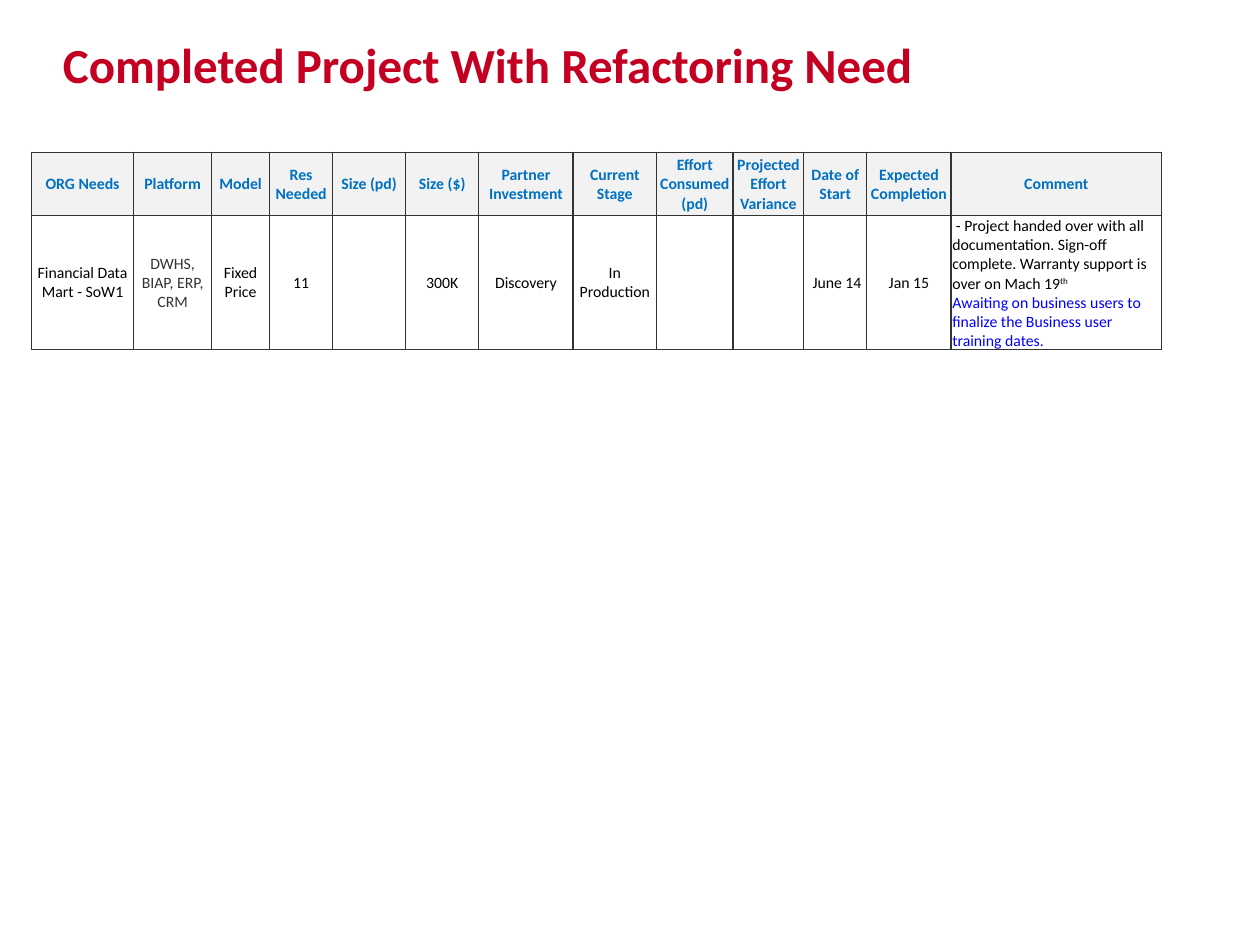
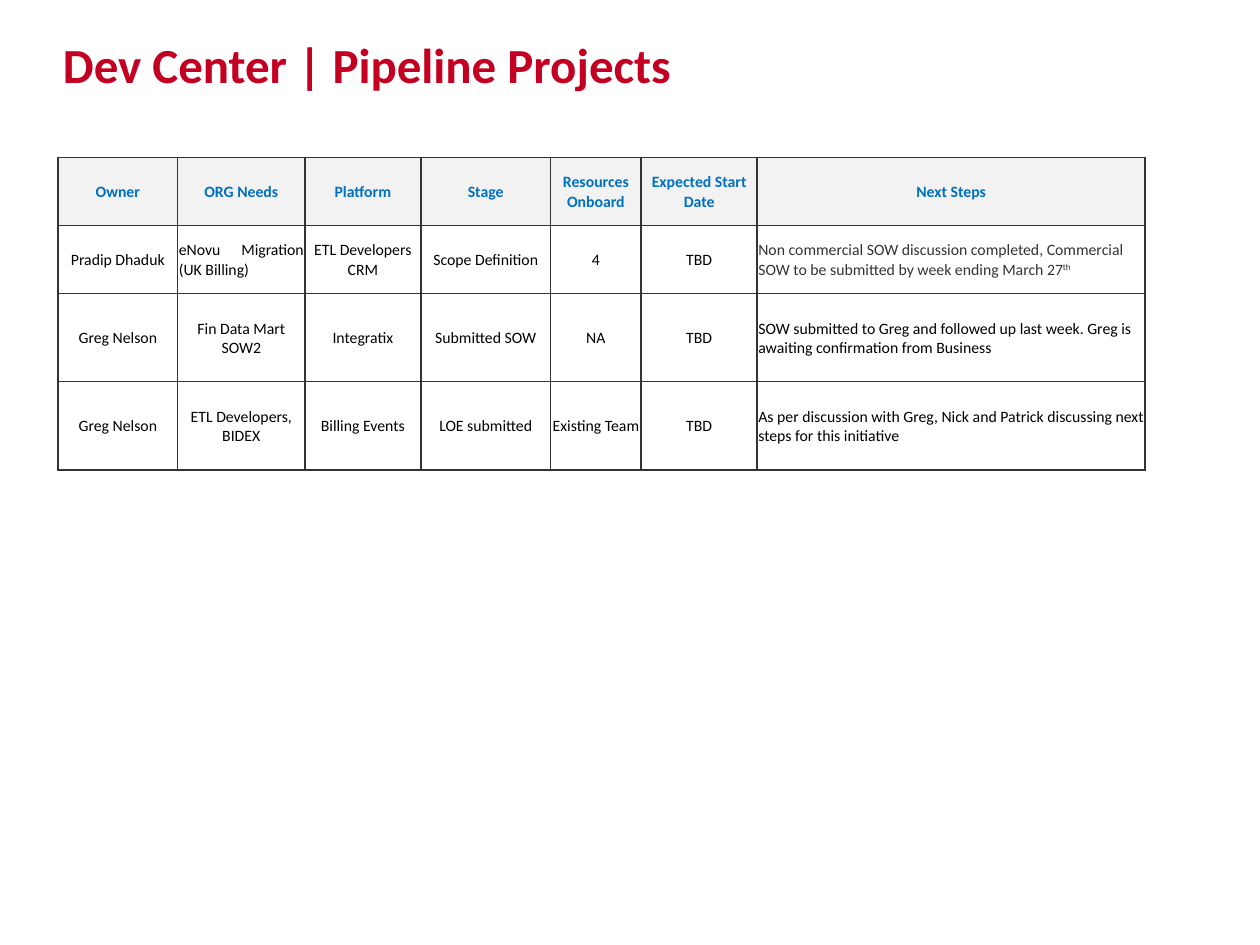
from lxml.etree import SubElement
from pptx import Presentation
from pptx.dml.color import RGBColor
from pptx.enum.text import MSO_ANCHOR as Anchor, PP_ALIGN as Align
from pptx.oxml.ns import qn
from pptx.util import Inches, Pt

FONT = "Calibri"
RED, BLUE, LINK = "C40022", "0070C0", "0000FF"
BLACK, GREY, PALE, WHITE = "000000", "333333", "F2F2F2", "FFFFFF"
TITLE_BOX = (0.5, 0.25, 9, 0.5)

COMPLETED = {
    "title": "Completed Project With Refactoring Need",
    "corner": (0.25, 1.21),
    "columns": [0.81, 0.62, 0.46, 0.5, 0.58, 0.58, 0.75, 0.66, 0.61, 0.56, 0.5, 0.67, 1.67],
    "heights": [0.5, 0.82],
    "rows": [
        ["ORG Needs", "Platform", "Model", "Res Needed", "Size (pd)", "Size ($)",
         "Partner Investment", "Current Stage", "Effort Consumed\v(pd)",
         "Projected Effort Variance", "Date of Start", "Expected Completion", "Comment"],
        ["Financial Data Mart - SoW1", "DWHS, BIAP, ERP, CRM", "Fixed Price", "11", "",
         "300K", "Discovery", "In Production", "", "", " June 14", "Jan 15",
         " - Project handed over with all documentation. Sign-off complete. "
         "Warranty support is over on Mach 19^th\n"
         "Awaiting on business users to finalize the Business user training dates."],
    ],
    "colors": {(1, 1): [GREY], (1, 12): [BLACK, LINK]},
    "aligns": {},
}

PIPELINE = {
    "title": "Dev Center | Pipeline Projects",
    "corner": (0.46, 1.25),
    "columns": [0.95, 1.01, 0.92, 1.03, 0.72, 0.92, 3.08],
    "heights": [0.54, 0.54, 0.7, 0.7],
    "rows": [
        ["Owner", "ORG Needs", "Platform", "Stage", "Resources Onboard",
         "Expected Start Date", "Next Steps"],
        ["Pradip Dhaduk", "eNovu Migration (UK Billing)", "ETL Developers\nCRM",
         "Scope Definition", "4", "TBD",
         "Non commercial SOW discussion completed, Commercial SOW to be submitted "
         "by week ending March 27^th"],
        ["Greg Nelson", "Fin Data Mart SOW2", "Integratix", "Submitted SOW", "NA", "TBD",
         "SOW submitted to Greg and followed up last week. Greg is awaiting "
         "confirmation from Business"],
        ["Greg Nelson", "ETL Developers, BIDEX", "Billing Events", "LOE submitted",
         "Existing Team", "TBD",
         "As per discussion with Greg, Nick and Patrick discussing next steps for "
         "this initiative"],
    ],
    "colors": {(1, 6): [GREY]},
    "aligns": {(1, 1): Align.JUSTIFY},
}


def rgb(value):
    """Turn a hex string into a colour."""
    return RGBColor.from_string(value)


def style(para, size, color, bold):
    """Set the font of a whole paragraph."""
    para.font.name = FONT
    para.font.size = Pt(size)
    para.font.bold = bold
    para.font.color.rgb = rgb(color)


def add_title(page, text, box):
    """Write the slide title at the foot of its box."""
    frame = page.shapes.add_textbox(*map(Inches, box)).text_frame
    frame.word_wrap = True
    frame.vertical_anchor = Anchor.BOTTOM
    frame.margin_left = frame.margin_right = frame.margin_top = frame.margin_bottom = 0
    para = frame.paragraphs[0]
    para.text = text
    para.line_spacing = 0.9
    style(para, 28, RED, True)


def draw_borders(cell):
    """Give a cell a thin line on all four sides."""
    properties = cell._tc.get_or_add_tcPr()
    for side in ("lnL", "lnR", "lnT", "lnB"):
        line = SubElement(properties, qn(f"a:{side}"), w=str(Pt(1)))
        fill = SubElement(line, qn("a:solidFill"))
        SubElement(fill, qn("a:srgbClr"), val=GREY)


def fill_cell(cell, text, colors, align, is_header):
    """Write a cell, where ^ starts a superscript and each line is a paragraph."""
    draw_borders(cell)
    cell.fill.solid()
    cell.fill.fore_color.rgb = rgb(PALE if is_header else WHITE)
    cell.vertical_anchor = Anchor.MIDDLE
    cell.margin_left = cell.margin_right = cell.margin_top = Inches(0.01)
    cell.margin_bottom = 0
    frame = cell.text_frame
    for index, line in enumerate(text.split("\n")):
        para = frame.add_paragraph() if index else frame.paragraphs[0]
        body, _, raised = line.partition("^")
        para.text = body
        para.alignment = align
        style(para, 9, colors[min(index, len(colors) - 1)], is_header)
        if raised:
            span = para.add_run()
            span.text = raised
            span._r.get_or_add_rPr().set("baseline", "30000")


def add_project_table(page, content):
    """Lay out a project table with its last column aligned left."""
    columns, heights = content["columns"], content["heights"]
    size = (sum(columns), sum(heights))
    table = page.shapes.add_table(
        len(heights), len(columns), *map(Inches, content["corner"] + size)).table
    table.first_row = table.horz_banding = False
    for column, width in zip(table.columns, columns):
        column.width = Inches(width)
    for row, height in zip(table.rows, heights):
        row.height = Inches(height)
    for r, texts in enumerate(content["rows"]):
        for c, text in enumerate(texts):
            is_header = r == 0
            is_note = not is_header and c == len(columns) - 1
            colors = content["colors"].get((r, c), [BLUE if is_header else BLACK])
            align = content["aligns"].get((r, c), Align.LEFT if is_note else Align.CENTER)
            fill_cell(table.cell(r, c), text, colors, align, is_header)


def add_project_slide(deck, content):
    """Add a slide with a title and a project table."""
    page = deck.slides.add_slide(deck.slide_layouts[6])
    add_title(page, content["title"], TITLE_BOX)
    add_project_table(page, content)


def main():
    """Build and save the deck."""
    deck = Presentation()
    deck.slide_width, deck.slide_height = Inches(10), Inches(7.5)
    for content in (COMPLETED, PIPELINE):
        add_project_slide(deck, content)
    deck.save("out.pptx")


if __name__ == "__main__":
    main()
